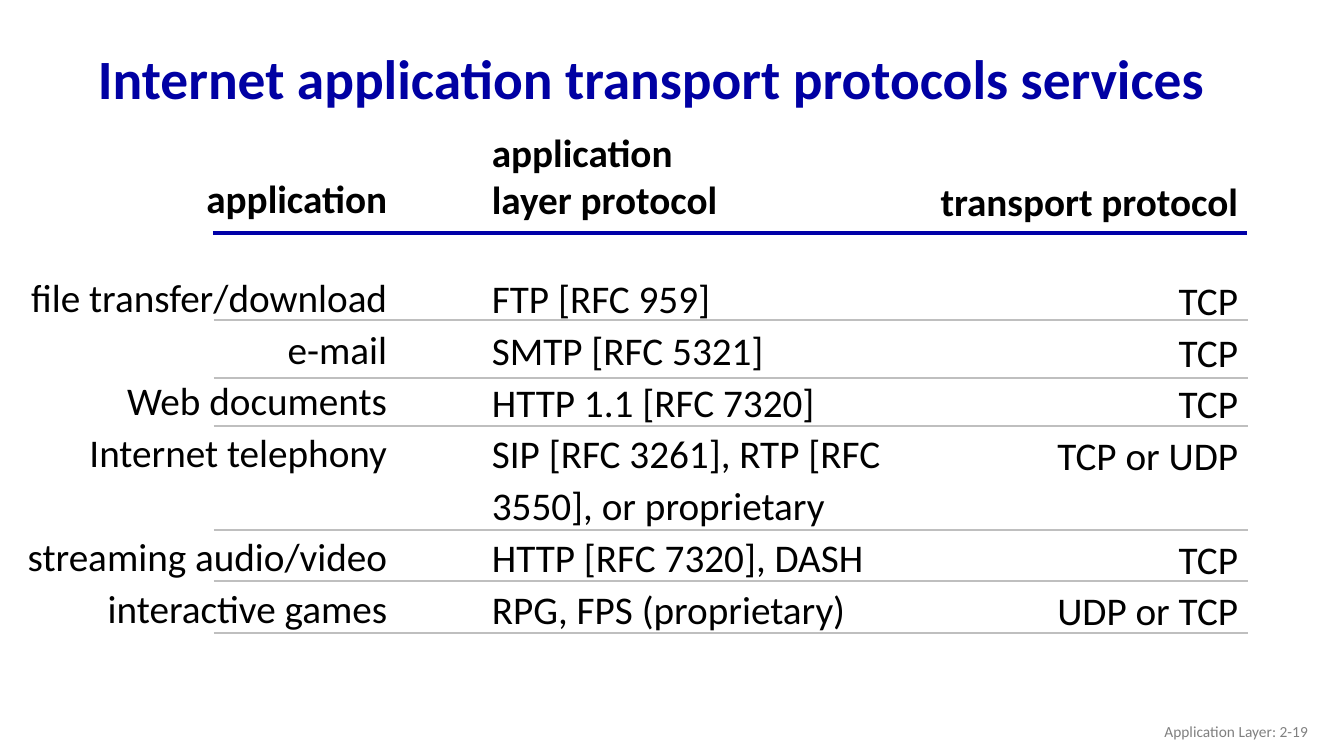
from lxml import etree
from pptx import Presentation
from pptx import util as u
from pptx.dml.color import RGBColor
from pptx.enum import shapes, text
from pptx.oxml.ns import qn

PX = 914400 / 100.8
COLORS = {"title": "0000A3", "header_rule": "0000A8", "row_rule": "BFBFBF",
          "body": "000000", "footer": "808080"}
HEADER_GAP = 34
SKIPPED_LINE = 37

APPLICATIONS = ["file transfer/download", "e-mail", "Web documents", "Internet telephony",
                "streaming audio/video", "interactive games"]
PROTOCOLS = ["FTP [RFC 959]", "SMTP [RFC 5321]", "HTTP 1.1 [RFC 7320]",
             "SIP [RFC 3261], RTP [RFC 3550], or proprietary",
             "HTTP [RFC 7320], DASH", "RPG, FPS (proprietary)"]
TRANSPORTS = ["TCP", "TCP", "TCP", "TCP or UDP", "TCP", "UDP or TCP"]
ROW_RULES = [320, 378, 426, 530, 581, 633]


def px(length):
    """Turn pixels into EMU."""
    return u.Emu(round(length * PX))


def add_frame(slide, box, anchor=text.MSO_ANCHOR.TOP):
    """Add a wrapping text box and return its text frame."""
    frame = slide.shapes.add_textbox(*map(px, box)).text_frame
    frame.word_wrap = True
    frame.vertical_anchor = anchor
    return frame


def write(frame, words, size=28, color="body", bold=False, align=text.PP_ALIGN.LEFT,
          spacing=1.0, before=0):
    """Write one formatted paragraph into a text frame."""
    paragraph = frame.paragraphs[0]
    if paragraph.runs:
        paragraph = frame.add_paragraph()
    paragraph.alignment = align
    paragraph.line_spacing = spacing
    if before:
        paragraph.space_before = u.Pt(before)
    run = paragraph.add_run()
    run.text = words
    run.font.name = "Calibri"
    run.font.size = u.Pt(size)
    run.font.bold = bold
    run.font.color.rgb = RGBColor.from_string(COLORS[color])


def add_rule(slide, left, top, width, color, weight):
    """Draw a horizontal rule."""
    rule = slide.shapes.add_connector(shapes.MSO_CONNECTOR.STRAIGHT, px(left), px(top),
                                      px(left + width), px(top))
    rule.line.color.rgb = RGBColor.from_string(COLORS[color])
    rule.line.width = u.Pt(weight)
    etree.SubElement(rule._element.spPr, qn("a:effectLst"))


def add_column(slide, box, headers, entries, align, skip_before=None):
    """Write a column: bold header lines, a gap, then its entries."""
    frame = add_frame(slide, box)
    for header in headers:
        write(frame, header, bold=True, align=align)
    for index, entry in enumerate(entries):
        gap = HEADER_GAP if index == 0 else SKIPPED_LINE if index == skip_before else 0
        write(frame, entry, align=align, spacing=1.1, before=gap)


def add_rules(slide, left, header_top, width):
    """Draw the header rule and the rule under each row."""
    add_rule(slide, left, header_top, width, "header_rule", 2.5)
    for top in ROW_RULES:
        add_rule(slide, left + 1, top, width, "row_rule", 1.25)


def add_title(slide, box):
    """Write the slide title."""
    write(add_frame(slide, box, text.MSO_ANCHOR.MIDDLE),
          "Internet application transport protocols services",
          size=39.6, color="title", bold=True, spacing=0.9)


def add_footer(slide, box):
    """Write the chapter and page label."""
    write(add_frame(slide, box, text.MSO_ANCHOR.MIDDLE), "Application Layer: 2-19",
          size=11, color="footer", align=text.PP_ALIGN.RIGHT)


def main():
    """Build the slide and save it."""
    presentation = Presentation()
    presentation.slide_width, presentation.slide_height = px(1344), px(756)
    slide = presentation.slides.add_slide(presentation.slide_layouts[6])
    add_title(slide, (88, 32, 1159, 99))
    add_footer(slide, (1016, 711, 302, 40))
    add_column(slide, (13, 169, 384, 469), ["application"], APPLICATIONS,
               text.PP_ALIGN.RIGHT, skip_before=4)
    add_rules(slide, 213, 233, 1034)
    add_column(slide, (482, 123, 444, 569), ["application", "layer protocol"], PROTOCOLS,
               text.PP_ALIGN.LEFT)
    add_column(slide, (926, 172, 322, 469), ["transport protocol"], TRANSPORTS,
               text.PP_ALIGN.RIGHT, skip_before=4)
    presentation.save("out.pptx")


if __name__ == "__main__":
    main()
